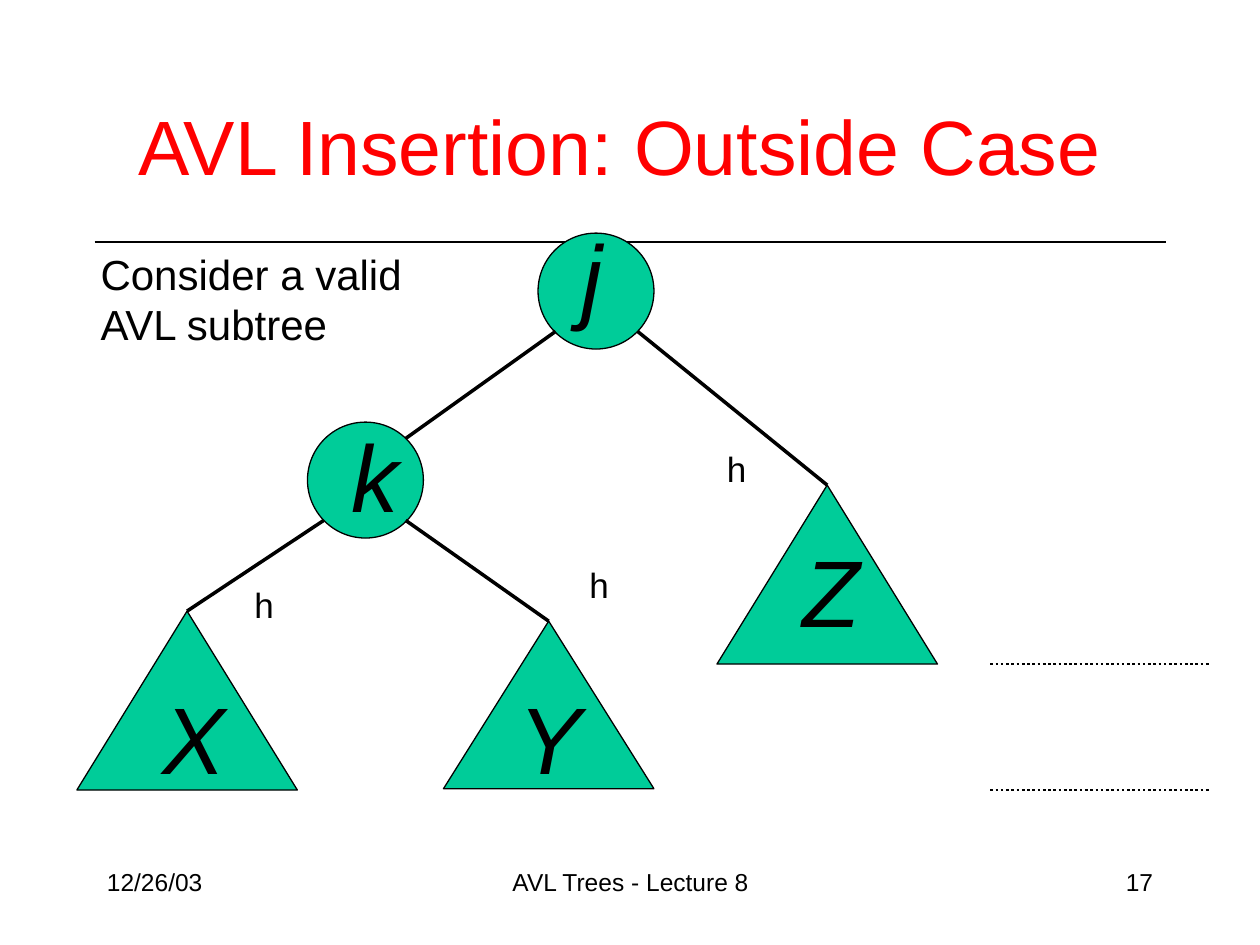
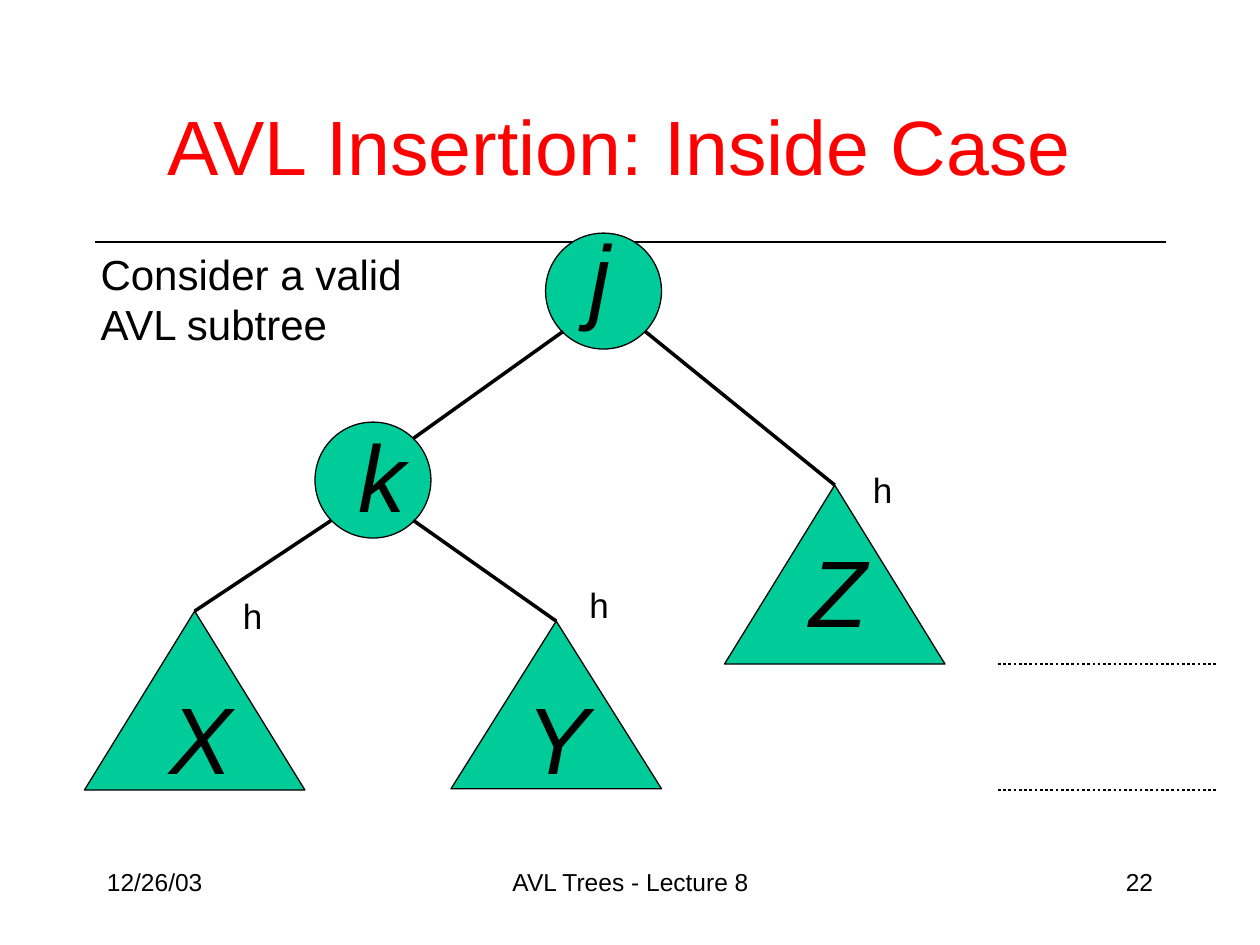
from pptx import Presentation
from pptx.dml.color import RGBColor
from pptx.enum.dml import MSO_LINE_DASH_STYLE as DASH
from pptx.enum.shapes import MSO_CONNECTOR as CONN, MSO_SHAPE as SHAPE
from pptx.enum.text import MSO_ANCHOR as ANCHOR, MSO_AUTO_SIZE as AUTO, PP_ALIGN as ALIGN
from pptx.oxml.ns import qn
from pptx.util import Inches, Pt
from lxml.etree import SubElement

FONT, BLACK, RED, GREEN = "Arial", "000000", "FF0000", "00CC99"
NODE = 0.92


def rgb(color):
    """Turn a hex string into a colour."""
    return RGBColor.from_string(color)


class TreeDeck:
    """Holds the shared style and the current slide."""

    def __init__(self):
        """Start an empty deck of 10 by 7.5 inches."""
        self.prs = Presentation()
        self.prs.slide_width, self.prs.slide_height = Inches(10), Inches(7.5)
        self.s = None

    def slide(self, title, number):
        """Add a slide with its rule, footer and title."""
        self.s = self.prs.slides.add_slide(self.prs.slide_layouts[6])
        self.line((0.75, 1.92), (9.25, 1.92), 0.75)
        self.text("12/26/03", 0.75, 6.83, 2.08, 0.5, 14)
        self.text("AVL Trees - Lecture 8", 3.42, 6.83, 3.17, 0.5, 14, align=ALIGN.CENTER)
        self.text(number, 7.17, 6.83, 2.08, 0.5, 14, align=ALIGN.RIGHT)
        tf = self.text(title, 0.73, 0.71, 8.55, 0.88, 44, RED, ALIGN.CENTER)
        tf.vertical_anchor = ANCHOR.MIDDLE

    def text(self, text, x, y, w, h, size, color=BLACK, align=ALIGN.LEFT, italic=False):
        """Add a wrapping text box and return its text frame."""
        tf = self.s.shapes.add_textbox(Inches(x), Inches(y), Inches(w), Inches(h)).text_frame
        tf.word_wrap = True
        tf.text = text
        for p in tf.paragraphs:
            p.alignment = align
            for r in p.runs:
                r.font.name, r.font.size, r.font.italic = FONT, Pt(size), italic
                r.font.color.rgb = rgb(color)
        return tf

    def label(self, text, x, y, w, h, size):
        """Add a text box that fits its text without wrapping."""
        tf = self.text(text, x, y, w, h, size)
        tf.word_wrap = False
        tf.auto_size = AUTO.SHAPE_TO_FIT_TEXT

    def letter(self, text, x, y):
        """Add a large italic letter that names a node or subtree."""
        tf = self.text(text, x, y, 0.56, 1, 54, italic=True)
        tf.auto_size = AUTO.SHAPE_TO_FIT_TEXT
        p = tf.paragraphs[0]
        p.space_before = Pt(0)
        before = p._p.pPr.find(qn("a:spcBef"))
        before.clear()
        SubElement(before, qn("a:spcPct")).set("val", "50000")

    def shape(self, kind, x, y, w, h):
        """Add a green outlined shape."""
        sp = self.s.shapes.add_shape(kind, Inches(x), Inches(y), Inches(w), Inches(h))
        sp.shadow.inherit = False
        sp.fill.solid()
        sp.fill.fore_color.rgb = rgb(GREEN)
        sp.line.color.rgb = rgb(BLACK)
        sp.line.width = Pt(0.75)
        return sp

    def line(self, start, end, width, dash=None):
        """Add a straight black line."""
        ends = [Inches(v) for v in (*start, *end)]
        c = self.s.shapes.add_connector(CONN.STRAIGHT, *ends)
        c.line.color.rgb = rgb(BLACK)
        c.line.width = Pt(width)
        if dash:
            c.line.dash_style = dash
        SubElement(c._element.spPr, qn("a:effectLst"))
        return c

    def node(self, name, x, y, letter_y):
        """Add a round tree node with its letter."""
        self.shape(SHAPE.OVAL, x, y, NODE, NODE)
        self.letter(name, x + 0.25, letter_y)

    def subtree(self, name, box, letter_at, edge_start):
        """Add a triangular subtree, its letter and the edge to its apex."""
        x, y, w, h = box
        sp = self.shape(SHAPE.ISOSCELES_TRIANGLE, x, y, w, h)
        self.letter(name, *letter_at)
        self.line(edge_start, (x + w / 2, y), 2).end_connect(sp, 0)

    def tree(self, dx):
        """Draw the AVL tree moved right by dx inches."""
        jx, kx = 4.27 + dx, 2.44 + dx
        self.node("j", jx, 1.85, 1.68)
        self.node("k", kx, 3.35, 3.27)
        self.line((jx + 0.14, 2.63), (kx + 0.78, 3.48), 2)
        self.subtree("X", (0.61 + dx, 4.85, 1.75, 1.42), (1.19 + dx, 5.35), (kx + 0.13, 4.13))
        self.subtree("Y", (3.52 + dx, 4.93, 1.67, 1.33), (4.02 + dx, 5.35), (kx + 0.78, 4.13))
        self.subtree("Z", (5.69 + dx, 3.85, 1.75, 1.42), (6.27 + dx, 4.18), (jx + 0.79, 2.63))
        for level in (5.27, 6.27):
            self.line((7.86 + dx, level), (9.61 + dx, level), 1.5, DASH.ROUND_DOT)


CASES = [
    ("AVL Insertion: Outside Case ", "17", 0, [(5.67, 3.5), (1.92, 4.58), (4.58, 4.42)]),
    ("AVL Insertion: Inside Case ", "22", 0.06, [(6.83, 3.67), (4.58, 4.58), (1.83, 4.67)]),
]


def main():
    """Build both insertion cases."""
    deck = TreeDeck()
    for title, number, dx, heights in CASES:
        deck.slide(title, number)
        deck.tree(dx)
        deck.label("Consider a valid\nAVL subtree", 0.7, 1.92, 2.6, 0.9, 24)
        for x, y in heights:
            deck.label("h", x, y, 0.36, 0.43, 20)
    deck.prs.save("out.pptx")


if __name__ == "__main__":
    main()
